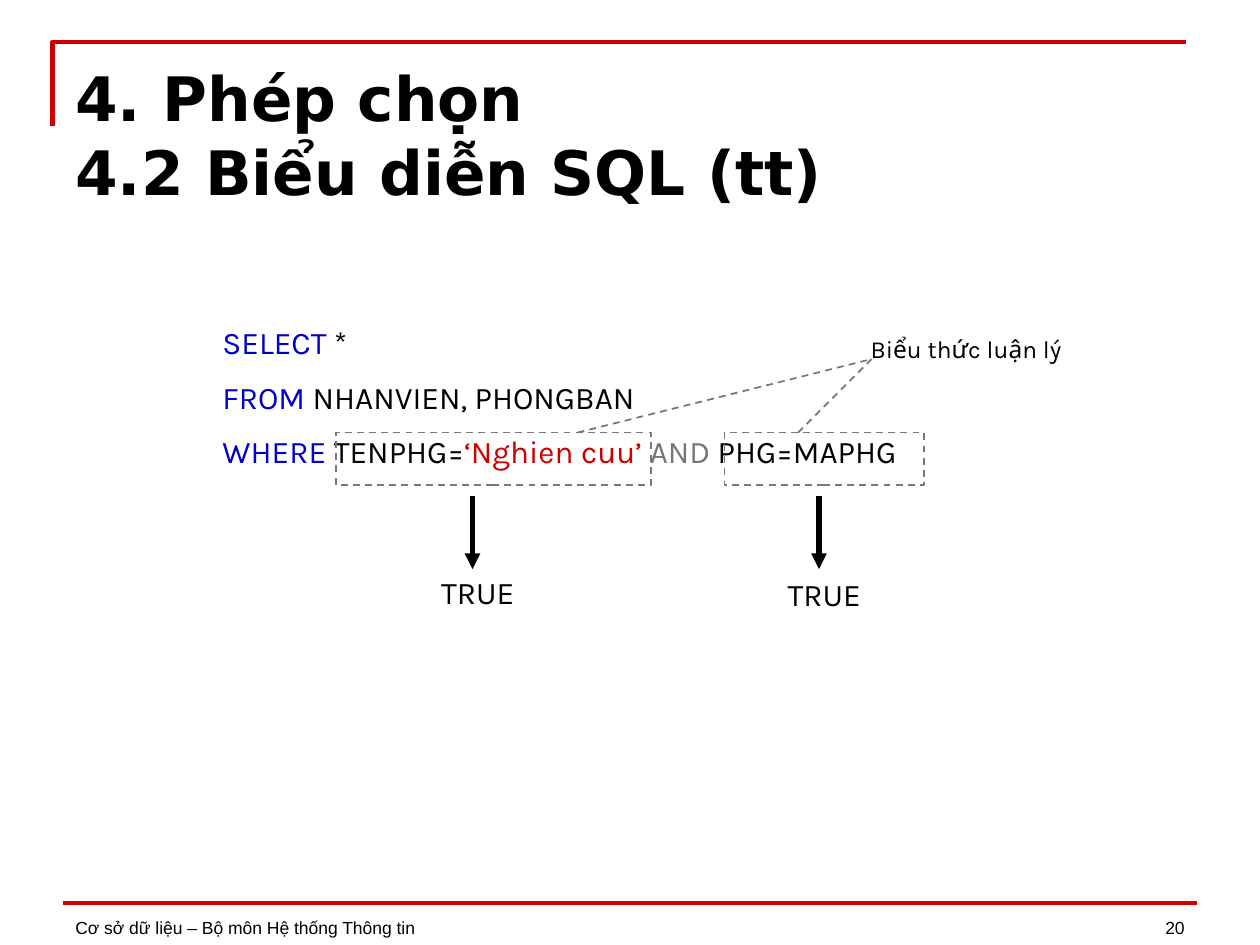
from dataclasses import dataclass

import pptx
import pptx.dml.color
import pptx.enum.dml
import pptx.enum.shapes
import pptx.enum.text
import pptx.oxml.ns
import pptx.util
from lxml import etree

RGBColor = pptx.dml.color.RGBColor
ALIGN = pptx.enum.text.PP_ALIGN
ANCHOR = pptx.enum.text.MSO_ANCHOR
DASH = pptx.enum.dml.MSO_LINE.DASH

BLACK = RGBColor(0x00, 0x00, 0x00)
RED = RGBColor(0xCC, 0x00, 0x00)
BLUE = RGBColor(0x00, 0x00, 0xCC)
GRAY = RGBColor(0x77, 0x77, 0x77)

CELL = pptx.util.Inches(1) // 12  # the slide is a grid of 120 columns by 90 rows
COLS, ROWS = 120, 90


@dataclass
class Box:
    """Area on the grid, in columns and rows."""
    col: float
    row: float
    cols: float
    rows: float

    def emu(self) -> list[int]:
        return [cells(n) for n in (self.col, self.row, self.cols, self.rows)]


@dataclass
class Condition:
    """Dashed frame around a condition, with the arrow to its result."""
    frame: Box
    callout_col: float
    arrow_col: float
    result: Box


CONDITIONS = [
    Condition(Box(32, 41.2, 30, 5), 55, 45, Box(39, 54, 13, 4.8)),
    Condition(Box(69, 41.2, 19, 5), 76, 78, Box(72, 54.2, 13, 4.8)),
]
CALLOUT_TIP = (83, 34.2)
ARROW_ROWS = (47.2, 54.2)

QUERY = [
    [("SELECT", BLUE), (" *", BLACK)],
    [("FROM ", BLUE), ("NHANVIEN, PHONGBAN", BLACK)],
    [("WHERE ", BLUE), ("TENPHG=", BLACK), ("‘Nghien cuu’ ", RED),
     ("AND ", GRAY), ("PHG=MAPHG", BLACK)],
]


def cells(n: float) -> int:
    return round(n * CELL)


def add_text(s, box: Box, lines: list, *, size: float, font="Karla", bold=False,
             align=ALIGN.LEFT, anchor=ANCHOR.TOP, space=0.0, inset_top=0.05):
    """Each line is a string, or a list of (text, colour) runs."""
    tf = s.shapes.add_textbox(*box.emu()).text_frame
    tf.word_wrap = True
    tf.vertical_anchor = anchor
    tf.margin_top = pptx.util.Inches(inset_top)
    for i, line in enumerate(lines):
        p = tf.add_paragraph() if i else tf.paragraphs[0]
        p.alignment = align
        if i:
            p.space_before = pptx.util.Pt(space)
        for text, color in [(line, BLACK)] if isinstance(line, str) else line:
            r = p.add_run()
            r.text = text
            r.font.name = font
            r.font.size = pptx.util.Pt(size)
            r.font.bold = bold
            r.font.color.rgb = color


def set_line(line, color: RGBColor, width: float, dash=None):
    line.color.rgb = color
    line.width = pptx.util.Pt(width)
    if dash:
        line.dash_style = dash


def add_line(s, start: tuple, end: tuple, color: RGBColor, width: float,
             dash=None, arrow=False):
    sp = s.shapes.add_connector(pptx.enum.shapes.MSO_CONNECTOR.STRAIGHT,
                                *map(cells, start + end))
    set_line(sp.line, color, width, dash)
    qn = pptx.oxml.ns.qn
    if arrow:
        etree.SubElement(sp.line._get_or_add_ln(), qn("a:tailEnd"), type="triangle")
    etree.SubElement(sp._element.spPr, qn("a:effectLst"))


def add_frame(s, box: Box):
    sp = s.shapes.add_shape(pptx.enum.shapes.MSO_SHAPE.RECTANGLE, *box.emu())
    sp.shadow.inherit = False
    sp.fill.background()
    set_line(sp.line, GRAY, 1, DASH.DASH)


def add_corner_rule(s):
    builder = s.shapes.build_freeform(cells(5), cells(12))
    builder.add_line_segments([(cells(5), cells(4)), (cells(113), cells(4))], close=False)
    sp = builder.convert_to_shape()
    sp.shadow.inherit = False
    sp.fill.background()
    set_line(sp.line, RED, 2.5)


def add_footer(s):
    add_line(s, (6, 86), (COLS - 6, 86), RED, 2)
    style = dict(size=10, font="Arial", anchor=ANCHOR.BOTTOM)
    add_text(s, Box(6, 83.9, 73, 6), ["Cơ sở dữ liệu – Bộ môn Hệ thống Thông tin"], **style)
    add_text(s, Box(86, 83.9, 28, 6), ["20"], align=ALIGN.RIGHT, **style)


def main():
    prs = pptx.Presentation()
    prs.slide_width, prs.slide_height = cells(COLS), cells(ROWS)
    s = prs.slides.add_slide(prs.slide_layouts[6])

    add_corner_rule(s)
    add_footer(s)
    add_text(s, Box(6, 4.7, 108, 8.2), ["4. Phép chọn", "4.2 Biểu diễn SQL (tt)"],
             size=35, font="DejaVu Sans", bold=True, inset_top=0.09)
    add_text(s, Box(20, 30.2, 74, 15.6), QUERY, size=18, space=9.5)
    add_text(s, Box(81, 31.2, 22, 4), ["Biểu thức luận lý"], size=14, align=ALIGN.CENTER)

    for c in CONDITIONS:
        add_frame(s, c.frame)
        add_line(s, (c.callout_col, c.frame.row), CALLOUT_TIP, GRAY, 1, DASH.DASH)
        top, bottom = ARROW_ROWS
        add_line(s, (c.arrow_col, top), (c.arrow_col, bottom), BLACK, 3, arrow=True)
        add_text(s, c.result, ["TRUE"], size=18, align=ALIGN.CENTER)

    prs.save("out.pptx")


if __name__ == "__main__":
    main()
